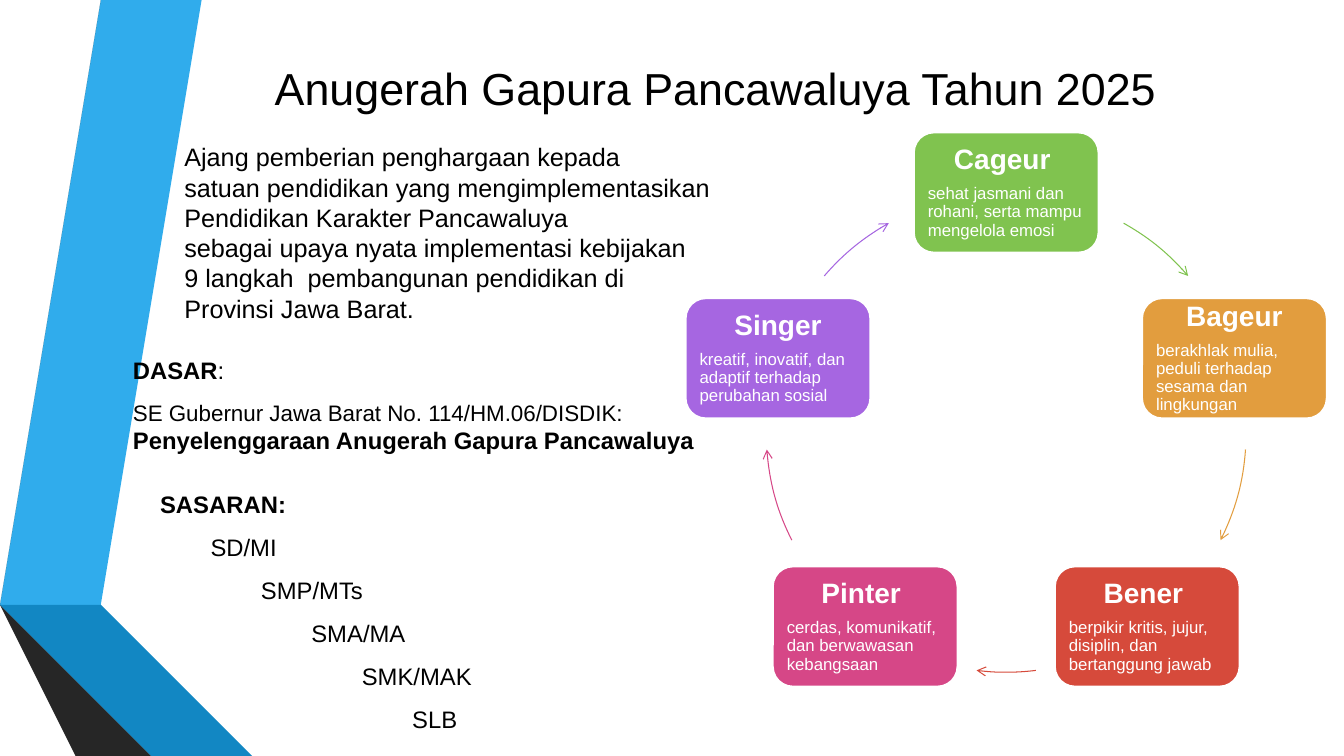
import math

from lxml import etree
from pptx import Presentation
from pptx.dml.color import RGBColor
from pptx.enum import shapes, text
from pptx.oxml.ns import qn
from pptx.util import Inches, Pt

# Content: a paragraph is a list of (text, size name, bold) runs
TITLE = "Anugerah Gapura Pancawaluya Tahun 2025"
INTRO = "\v".join([
    "Ajang pemberian penghargaan kepada",
    "satuan pendidikan yang mengimplementasikan",
    "Pendidikan Karakter Pancawaluya",
    "sebagai upaya nyata implementasi kebijakan",
    "9 langkah  pembangunan pendidikan di",
    "Provinsi Jawa Barat.",
])
BASIS = [
    [("DASAR", "label", True), (":", "label", False)],
    [("SE Gubernur Jawa Barat No. 114/HM.06/DISDIK: ", "decree", False),
     ("Penyelenggaraan Anugerah Gapura Pancawaluya", "label", True)],
]
TARGETS = ["SASARAN:", "SD/MI", "SMP/MTs", "SMA/MA", "SMK/MAK", "SLB"]

# Name, description, colour, start and end of the following arc (degrees from top)
VALUES = [
    ("Cageur ", "sehat jasmani dan rohani, serta mampu mengelola emosi",
     "80C34F", 29.3, 49.3),
    ("Bageur", "berakhlak mulia, peduli terhadap sesama dan lingkungan",
     "E29D3E", 94.1, 116.7),
    ("Bener ", "berpikir kritis, jujur, disiplin, dan bertanggung jawab",
     "D64A3B", 172.9, 187.1),
    ("Pinter ", "cerdas, komunikatif, dan berwawasan kebangsaan",
     "D64787", 243.3, 265.9),
    ("Singer", "kreatif, inovatif, dan adaptif terhadap perubahan sosial",
     "A666E1", 310.7, 330.7),
]

# Ribbon facets: colour and outline in inches
RIBBONS = [
    ("30ACEC", [(0.5, 5.78), (0.77, 5.83), (1.73, 0), (1.45, 0)]),
    ("595959", [(1.39, 0), (1.11, 0), (0.16, 5.73), (0.44, 5.77)]),
    ("262626", [(0.16, 5.73), (1.45, 7.5), (1.51, 7.5)]),
    ("0C5A82", [(0.5, 5.79), (2.08, 7.5), (2.14, 7.5)]),
    ("1287C3", [(0.5, 5.79), (2.14, 7.5), (2.83, 7.5), (0.77, 5.83), (0.5, 5.78)]),
    ("404040", [(2.02, 7.5), (0.48, 5.83), (0.44, 5.77), (0.16, 5.73), (1.51, 7.5)]),
]

THEME = {
    "font": "Arial", "ink": "000000", "paper": "FFFFFF",
    "sizes": {"title": 32, "intro": 18, "label": 17, "decree": 16,
              "name": 20, "detail": 12},
}

CENTER_X, CENTER_Y, RADIUS = 9.98, 4.29, 2.38
CARD_W, CARD_H = 1.83, 1.19
INDENT = 0.5

prs = Presentation()
prs.slide_width, prs.slide_height = Inches(13.33), Inches(7.5)
slide = prs.slides.add_slide(prs.slide_layouts[6])


def rgb(value):
    return RGBColor.from_string(value)


def style(p, size, bold=False, color=THEME["ink"]):
    for r in p.runs:
        r.font.name = THEME["font"]
        r.font.size = Pt(THEME["sizes"][size])
        r.font.bold = bold
        r.font.color.rgb = rgb(color)


def next_paragraph(tf, index):
    return tf.add_paragraph() if index else tf.paragraphs[0]


def add_text(x, y, w, h, paragraphs, align=text.PP_ALIGN.LEFT, step=0):
    tf = slide.shapes.add_textbox(*map(Inches, (x, y, w, h))).text_frame
    tf.word_wrap = True
    tf.vertical_anchor = text.MSO_ANCHOR.MIDDLE
    for i, runs in enumerate(paragraphs):
        p = next_paragraph(tf, i)
        p.alignment = align
        p.space_after = Pt(6)
        if i:
            p.space_before = Pt(4.3)
            if step:
                pPr = p._p.get_or_add_pPr()
                pPr.set("marL", str(Inches(i * step)))
                pPr.set("indent", "0")
        for words, size, bold in runs:
            r = p.add_run()
            r.text = words
            r.font.name = THEME["font"]
            r.font.size = Pt(THEME["sizes"][size])
            r.font.bold = bold
            r.font.color.rgb = rgb(THEME["ink"])
    return tf


def add_ribbon(color, points):
    builder = slide.shapes.build_freeform(*points[0], scale=Inches(1))
    builder.add_line_segments(points[1:], close=True)
    sp = builder.convert_to_shape()
    sp.shadow.inherit = False
    sp.fill.solid()
    sp.fill.fore_color.rgb = rgb(color)
    sp.line.fill.background()


def add_card(x, y, name, detail, color):
    sp = slide.shapes.add_shape(
        shapes.MSO_SHAPE.ROUNDED_RECTANGLE,
        *map(Inches, (x - CARD_W / 2, y - CARD_H / 2, CARD_W, CARD_H)))
    sp.shadow.inherit = False
    sp.fill.solid()
    sp.fill.fore_color.rgb = rgb(color)
    sp.line.color.rgb = rgb(THEME["paper"])
    sp.line.width = Pt(1.25)
    tf = sp.text_frame
    tf.word_wrap = True
    tf.vertical_anchor = text.MSO_ANCHOR.MIDDLE
    tf.margin_left = tf.margin_right = tf.margin_top = tf.margin_bottom = Inches(0.08)
    lines = [(name, "name", True, text.PP_ALIGN.CENTER, 7),
             (detail, "detail", False, text.PP_ALIGN.LEFT, 4.2)]
    for i, (words, size, bold, align, after) in enumerate(lines):
        p = next_paragraph(tf, i)
        p.text = words
        p.alignment = align
        p.line_spacing = 0.9
        p.space_after = Pt(after)
        style(p, size, bold, THEME["paper"])


def add_arc(start, end, color):
    sp = slide.shapes.add_shape(
        shapes.MSO_SHAPE.ARC,
        *map(Inches, (CENTER_X - RADIUS, CENTER_Y - RADIUS, 2 * RADIUS, 2 * RADIUS)))
    sp.shadow.inherit = False
    sp.fill.background()
    # Angles are stored in 60000ths of a degree, clockwise from the right
    for i, angle in enumerate((start, end)):
        sp.adjustments[i] = (angle - 90) % 360 * 0.6
    sp.line.color.rgb = rgb(color)
    sp.line.width = Pt(0.75)
    etree.SubElement(sp.line._get_or_add_ln(), qn("a:tailEnd"), type="arrow")


# Ribbon on the left
for color, points in RIBBONS:
    add_ribbon(color, points)

# Title and introduction
add_text(1.62, 0.43, 10.96, 0.87, [[(TITLE, "title", False)]], text.PP_ALIGN.CENTER)
intro = add_text(1.73, 0.43, 6.51, 3.75, [[]]).paragraphs[0]
intro.text = INTRO
style(intro, "intro")

# Cycle of five values
for i, (name, detail, color, start, end) in enumerate(VALUES):
    turn = 2 * math.pi * i / len(VALUES)
    add_card(CENTER_X + RADIUS * math.sin(turn), CENTER_Y - RADIUS * math.cos(turn),
             name, detail, color)
    add_arc(start, end, color)

# Legal basis and stepped list of targets
add_text(1.22, 3.41, 6.26, 1.22, BASIS)
add_text(1.49, 5.46, 6.26, 1.22,
         [[(target, "label", i == 0)] for i, target in enumerate(TARGETS)], step=INDENT)

prs.save("out.pptx")
